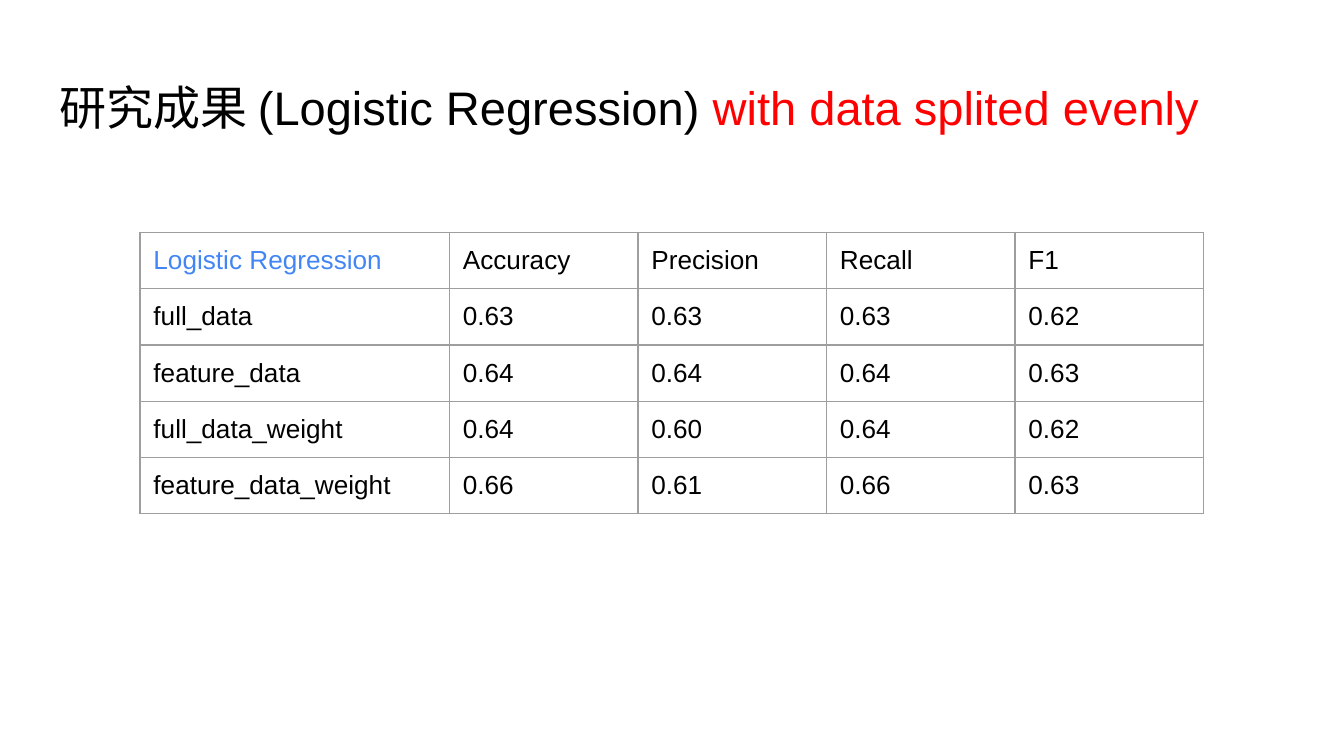
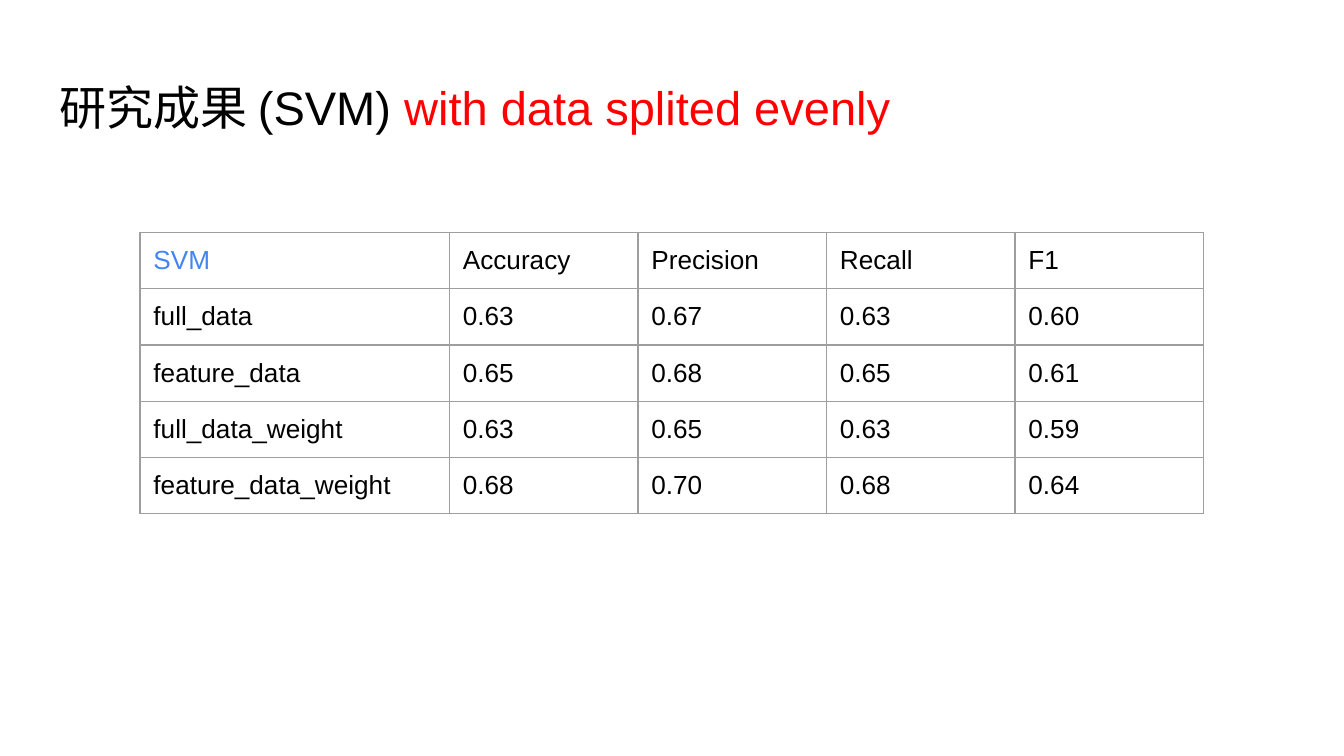
from dataclasses import dataclass

from lxml import etree
from pptx import Presentation
from pptx.dml.color import RGBColor
from pptx.enum.text import MSO_ANCHOR, MSO_AUTO_SIZE, PP_ALIGN
from pptx.oxml.ns import qn
from pptx.presentation import Presentation as Deck
from pptx.slide import Slide
from pptx.table import _Cell
from pptx.text.text import Font
from pptx.util import Pt

ANCHOR_TOP = MSO_ANCHOR.TOP
NO_AUTOFIT = MSO_AUTO_SIZE.NONE
ALIGN_LEFT = PP_ALIGN.LEFT
TITLE_ONLY = 5
BORDER_SIDES = ("a:lnL", "a:lnR", "a:lnT", "a:lnB")


@dataclass(frozen=True)
class Theme:
    font: str = "Arial"
    text: str = "000000"
    emphasis: str = "FF0000"
    model: str = "4285F4"
    border: str = "9E9E9E"
    background: str = "FFFFFF"
    title_size: float = 25.2
    table_size: float = 14
    border_width: float = 0.75
    inset: float = 7.2


@dataclass(frozen=True)
class Frame:
    left: float
    top: float
    width: float
    height: float


@dataclass(frozen=True)
class ModelResult:
    model: str
    scores: tuple[tuple[str, ...], ...]


THEME = Theme()
SLIDE_WIDTH, SLIDE_HEIGHT = 720, 405
TITLE_FRAME = Frame(24.5, 35, 671, 45.1)
TABLE_LEFT, TABLE_TOP = 75, 124.5
COLUMN_WIDTHS = (165.75, 101, 101, 101, 101)
ROW_HEIGHT = 30
TITLE_SUFFIX = "with data splited evenly"
METRICS = ("Accuracy", "Precision", "Recall", "F1")
DATASETS = ("full_data", "feature_data", "full_data_weight", "feature_data_weight")

RESULTS = (
    ModelResult("Logistic Regression", (
        ("0.63", "0.63", "0.63", "0.62"),
        ("0.64", "0.64", "0.64", "0.63"),
        ("0.64", "0.60", "0.64", "0.62"),
        ("0.66", "0.61", "0.66", "0.63"),
    )),
    ModelResult("SVM", (
        ("0.63", "0.67", "0.63", "0.60"),
        ("0.65", "0.68", "0.65", "0.61"),
        ("0.63", "0.65", "0.63", "0.59"),
        ("0.68", "0.70", "0.68", "0.64"),
    )),
)


def style_font(font: Font, size: float, color: str) -> None:
    font.name = THEME.font
    font.size = Pt(size)
    font.color.rgb = RGBColor.from_string(color)


def draw_title(page: Slide, model: str) -> None:
    box = page.shapes.title
    box.left, box.top = Pt(TITLE_FRAME.left), Pt(TITLE_FRAME.top)
    box.width, box.height = Pt(TITLE_FRAME.width), Pt(TITLE_FRAME.height)
    frame = box.text_frame
    frame.margin_left = frame.margin_right = Pt(THEME.inset)
    frame.margin_top = frame.margin_bottom = Pt(THEME.inset)
    frame.word_wrap = True
    frame.auto_size = NO_AUTOFIT
    frame.vertical_anchor = ANCHOR_TOP
    frame.text = f"研究成果 ({model}) "
    para = frame.paragraphs[0]
    para.alignment = ALIGN_LEFT
    para.add_run().text = TITLE_SUFFIX
    for span, color in zip(para.runs, (THEME.text, THEME.emphasis)):
        style_font(span.font, THEME.title_size, color)


def draw_borders(cell: _Cell) -> None:
    properties = cell._tc.get_or_add_tcPr()
    for side in BORDER_SIDES:
        line = etree.SubElement(properties, qn(side), w=str(Pt(THEME.border_width)))
        fill = etree.SubElement(line, qn("a:solidFill"))
        etree.SubElement(fill, qn("a:srgbClr"), val=THEME.border)


def fill_cell(cell: _Cell, text: str, color: str) -> None:
    cell.margin_left = cell.margin_right = Pt(THEME.inset)
    cell.margin_top = cell.margin_bottom = Pt(THEME.inset)
    cell.vertical_anchor = ANCHOR_TOP
    draw_borders(cell)
    cell.fill.background()
    cell.text_frame.text = text
    style_font(cell.text_frame.paragraphs[0].runs[0].font, THEME.table_size, color)


def draw_scores(page: Slide, result: ModelResult) -> None:
    rows = [(result.model, *METRICS)]
    rows += [(name, *scores) for name, scores in zip(DATASETS, result.scores)]
    table = page.shapes.add_table(
        len(rows), len(COLUMN_WIDTHS), Pt(TABLE_LEFT), Pt(TABLE_TOP),
        Pt(sum(COLUMN_WIDTHS)), Pt(ROW_HEIGHT * len(rows)),
    ).table
    table.first_row = False
    table.horz_banding = False
    for column, width in zip(table.columns, COLUMN_WIDTHS):
        column.width = Pt(width)
    for row_index, values in enumerate(rows):
        table.rows[row_index].height = Pt(ROW_HEIGHT)
        for column_index, value in enumerate(values):
            is_model = row_index == column_index == 0
            color = THEME.model if is_model else THEME.text
            fill_cell(table.cell(row_index, column_index), value, color)


def add_result_page(deck: Deck, result: ModelResult) -> None:
    page = deck.slides.add_slide(deck.slide_layouts[TITLE_ONLY])
    page.background.fill.solid()
    page.background.fill.fore_color.rgb = RGBColor.from_string(THEME.background)
    draw_title(page, result.model)
    draw_scores(page, result)


def main() -> None:
    deck = Presentation()
    deck.slide_width, deck.slide_height = Pt(SLIDE_WIDTH), Pt(SLIDE_HEIGHT)
    for result in RESULTS:
        add_result_page(deck, result)
    deck.save("out.pptx")


if __name__ == "__main__":
    main()
